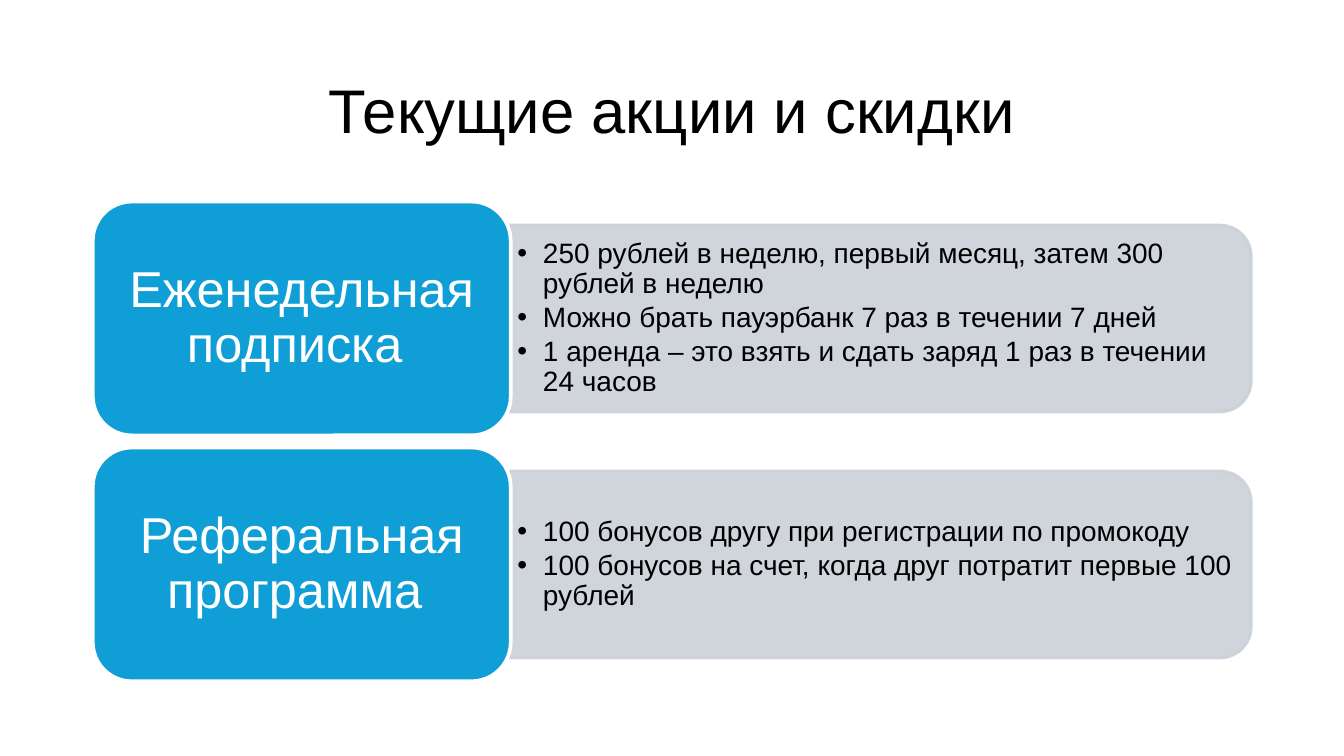
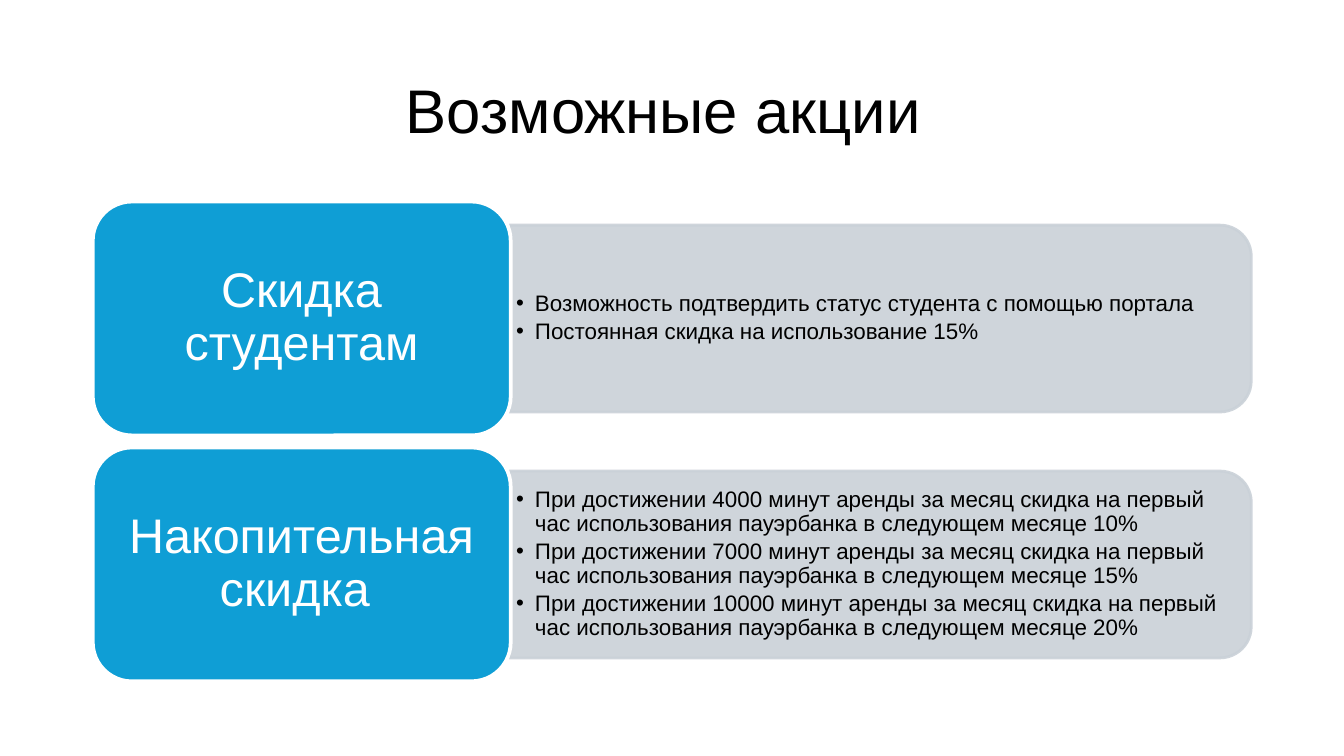
from lxml.etree import SubElement
from pptx import Presentation
from pptx.dml.color import RGBColor
from pptx.enum.shapes import MSO_SHAPE
from pptx.enum.text import MSO_ANCHOR, MSO_AUTO_SIZE, PP_ALIGN
from pptx.oxml.ns import qn
from pptx.util import Pt

PX = 9144  # 100 px to the inch
FONT = "Arial"
BLACK = RGBColor(0, 0, 0)
WHITE = RGBColor(0xFF, 0xFF, 0xFF)
BLUE = RGBColor(0x0F, 0x9E, 0xD5)
GREY = RGBColor(0xCA, 0xD1, 0xD8)

WIDE = 1000
TOP, PITCH = 150, 183
CARD_X, CARD_W, CARD_H = 69, 311, 174
PANEL_X, PANEL_W, PANEL_H = 379, 552, 139
LIST_X, LIST_W, LIST_H = 379, 545, 126
ROUND = 0.167

# Sizes in points; insets and indent in px
LARGE = {"card": 27, "card_pad": (11, 6), "list": 15, "list_pad": (6, 3), "indent": 19}
SMALL = {"card": 26, "card_pad": (11, 5), "list": 12, "list_pad": (5, 2), "indent": 14}

STEP = "При достижении {} минут аренды за месяц скидка на первый час использования пауэрбанка в следующем месяце {}%"

SLIDES = [
    ("Текущие акции и скидки", LARGE, [
        ("Еженедельная подписка ", [
            "250 рублей в неделю, первый месяц, затем 300 рублей в неделю",
            "Можно брать пауэрбанк 7 раз в течении 7 дней",
            "1 аренда – это взять и сдать заряд 1 раз в течении 24 часов",
        ]),
        ("Реферальная программа ", [
            "100 бонусов другу при регистрации по промокоду",
            "100 бонусов на счет, когда друг потратит первые 100 рублей",
        ]),
    ]),
    ("Возможные акции ", SMALL, [
        ("Скидка студентам", [
            "Возможность подтвердить статус студента с помощью портала",
            "Постоянная скидка на использование 15%",
        ]),
        ("Накопительная скидка ", [
            STEP.format(mins, rate)
            for mins, rate in ((4000, 10), (7000, 15), (10000, 20))
        ]),
    ]),
]


def box(x, y, w, h):
    return [round(v * PX) for v in (x, y, w, h)]


def set_frame(frame, pad):
    frame.word_wrap = True
    frame.auto_size = MSO_AUTO_SIZE.NONE
    frame.vertical_anchor = MSO_ANCHOR.MIDDLE
    frame.margin_left = frame.margin_right = pad[0] * PX
    frame.margin_top = frame.margin_bottom = pad[1] * PX


def set_para(para, size, color, align):
    para.alignment = align
    para.line_spacing = 0.9
    for run in para.runs:
        run.font.name = FONT
        run.font.size = Pt(size)
        run.font.color.rgb = color


def set_look(shape, fill, line, width):
    shape.shadow.inherit = False
    shape.fill.solid()
    shape.fill.fore_color.rgb = fill
    shape.line.color.rgb = line
    shape.line.width = Pt(width)


def add_bullet(para, indent):
    props = para._p.get_or_add_pPr()
    props.set("marL", str(indent * PX))
    props.set("indent", str(-indent * PX))
    color = SubElement(props, qn("a:buClr"))
    SubElement(color, qn("a:srgbClr"), val=str(BLACK))
    SubElement(props, qn("a:buFont"), typeface=FONT)
    SubElement(props, qn("a:buChar"), char="•")


def add_title(slide, text):
    title = slide.shapes.title
    title.left, title.top, title.width, title.height = box(69, 30, 862, 109)
    title.text_frame.text = text
    set_frame(title.text_frame, (7, 4))
    set_para(title.text_frame.paragraphs[0], 33, BLACK, PP_ALIGN.CENTER)


def add_panel(slide, mid):
    """Draw the grey band, an upright shape turned so its round end is at the right."""
    x = PANEL_X + (PANEL_W - PANEL_H) / 2
    panel = slide.shapes.add_shape(
        MSO_SHAPE.ROUND_2_SAME_RECTANGLE,
        *box(x, mid - PANEL_W / 2, PANEL_H, PANEL_W))
    panel.rotation = 90
    panel.adjustments[0], panel.adjustments[1] = ROUND, 0
    set_look(panel, GREY, GREY, 1.5)
    for color in panel._element.spPr.iter(qn("a:srgbClr")):
        SubElement(color, qn("a:alpha"), val="90000")


def add_list(slide, mid, items, style):
    area = slide.shapes.add_textbox(*box(LIST_X, mid - LIST_H / 2, LIST_W, LIST_H))
    frame = area.text_frame
    frame.text = "\n".join(items)
    set_frame(frame, style["list_pad"])
    for i, para in enumerate(frame.paragraphs):
        para.level = 1
        add_bullet(para, style["indent"])
        set_para(para, style["list"], BLACK, PP_ALIGN.LEFT)
        if i:
            para.space_before = Pt(2)


def add_card(slide, mid, text, style):
    card = slide.shapes.add_shape(
        MSO_SHAPE.ROUNDED_RECTANGLE, *box(CARD_X, mid - CARD_H / 2, CARD_W, CARD_H))
    card.adjustments[0] = ROUND
    set_look(card, BLUE, WHITE, 2)
    card.text_frame.text = text
    set_frame(card.text_frame, style["card_pad"])
    set_para(card.text_frame.paragraphs[0], style["card"], WHITE, PP_ALIGN.CENTER)


def main():
    deck = Presentation()
    deck.slide_width = WIDE * PX
    deck.slide_height = WIDE * PX * 9 // 16
    for title, style, rows in SLIDES:
        slide = deck.slides.add_slide(deck.slide_layouts[5])
        add_title(slide, title)
        for i, (name, items) in enumerate(rows):
            mid = TOP + i * PITCH + CARD_H / 2
            add_panel(slide, mid)
            add_list(slide, mid, items, style)
            add_card(slide, mid, name, style)
    deck.save("out.pptx")


if __name__ == "__main__":
    main()
